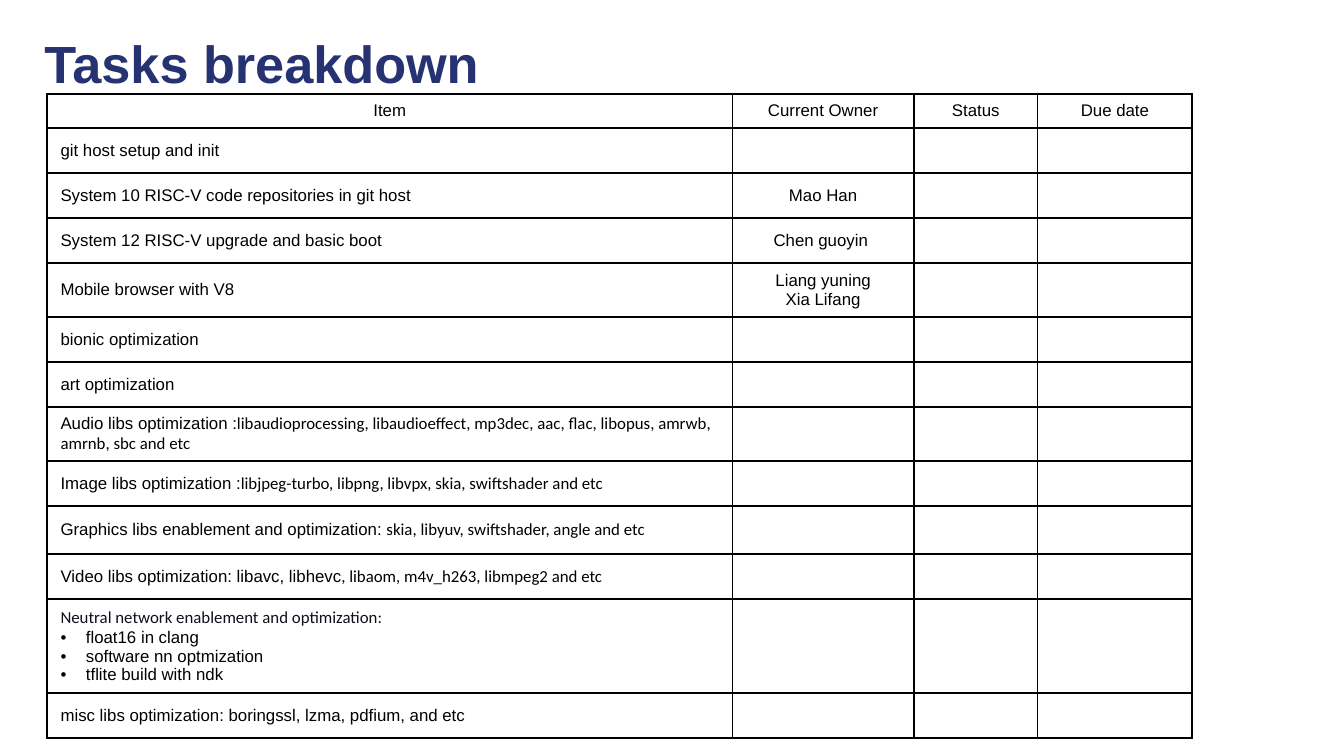
"""Build the task breakdown slide with its table of owners and dates."""
from lxml.etree import SubElement
from pptx import Presentation
from pptx.dml.color import RGBColor
from pptx.enum.text import MSO_ANCHOR as ANCHOR, PP_ALIGN as ALIGN
from pptx.oxml.ns import qn
from pptx.util import Cm, Pt


def style(r, size, color, font="Arial", bold=False):
    r.font.size, r.font.name, r.font.bold = Pt(size), font, bold
    r.font.color.rgb = RGBColor.from_string(color)


def add_borders(cell):
    tcPr = cell._tc.get_or_add_tcPr()
    for i, side in enumerate(("lnL", "lnR", "lnT", "lnB")):
        ln = tcPr.makeelement(qn(f"a:{side}"), {"w": str(Pt(1))})
        fill = SubElement(ln, qn("a:solidFill"))
        SubElement(fill, qn("a:srgbClr"), val="000000")
        tcPr.insert(i, ln)


BLACK = "000000"
HEADERS = ["Item", "Current Owner", "Status", "Due date"]
WIDTHS = [12.95, 3.43, 2.34, 2.92]
TASKS = [
    (0.85, "git host setup and init", ""),
    (0.85, "System 10 RISC-V code repositories in git host", "Mao Han"),
    (0.85, "System 12 RISC-V upgrade and basic boot", "Chen guoyin "),
    (0.96, "Mobile browser with V8", "Liang yuning\nXia Lifang"),
    (0.85, "bionic optimization", ""),
    (0.85, "art optimization", ""),
    (1.03, "Audio libs optimization :|libaudioprocessing, libaudioeffect, mp3dec, "
           "aac, flac, libopus, amrwb, amrnb, sbc and etc", ""),
    (0.85, "Image libs optimization :|libjpeg-turbo, libpng, libvpx, skia, "
           "swiftshader and etc", ""),
    (0.9, "Graphics libs enablement and optimization: |skia, libyuv, "
          "swiftshader, angle and etc", ""),
    (0.85, "Video libs optimization: libavc, libhevc|, libaom, m4v_h263, "
           "libmpeg2 and etc", ""),
    (1.78, "|Neutral network enablement and optimization:\n•float16 in clang\n"
           "•software nn optmization\n•tflite build with ndk", ""),
    (0.85, "misc libs optimization: boringssl, lzma, pdfium, and etc", ""),
]

prs = Presentation()
prs.slide_width, prs.slide_height = Cm(25.4), Cm(14.29)
s = prs.slides.add_slide(prs.slide_layouts[6])

tf = s.shapes.add_textbox(Cm(0.66), Cm(0.53), Cm(20.22), Cm(1.42)).text_frame
tf.word_wrap = True
tf.vertical_anchor = ANCHOR.MIDDLE
tf.margin_left = tf.margin_right = Cm(0.18)
tf.margin_top = tf.margin_bottom = Cm(0.1)
tf.text = "Tasks breakdown"
p = tf.paragraphs[0]
p.line_spacing = 0.95
style(p.runs[0], 28, "273272", bold=True)

rows = [(0.64, HEADERS)] + [(h, [task, owner, "", ""]) for h, task, owner in TASKS]
height = sum(h for h, _ in rows)
table = s.shapes.add_table(len(rows), len(WIDTHS), Cm(0.89), Cm(1.78),
                           Cm(sum(WIDTHS)), Cm(height)).table
table.first_row = table.horz_banding = False
for column, width in zip(table.columns, WIDTHS):
    column.width = Cm(width)

for i, (h, texts) in enumerate(rows):
    table.rows[i].height = Cm(h)
    for j, text in enumerate(texts):
        cell = table.cell(i, j)
        cell.fill.background()
        cell.vertical_anchor = ANCHOR.MIDDLE
        add_borders(cell)
        tf = cell.text_frame
        tf.text = "\n" * text.count("\n")
        for p, line in zip(tf.paragraphs, text.split("\n")):
            p.alignment = ALIGN.LEFT if i and j == 0 else ALIGN.CENTER
            if line.startswith("•"):
                pPr = p._p.get_or_add_pPr()
                pPr.set("marL", str(Cm(0.48)))
                pPr.set("indent", str(-Cm(0.48)))
                color = SubElement(SubElement(pPr, qn("a:buClr")), qn("a:srgbClr"))
                color.set("val", BLACK)
                SubElement(pPr, qn("a:buFont"), typeface="Arial")
                SubElement(pPr, qn("a:buChar"), char="•")
            for part, font in zip(line.lstrip("•").split("|"), ("Arial", "Calibri")):
                if part:
                    r = p.add_run()
                    r.text = part
                    style(r, 9, "0E101A" if line.startswith("|") else BLACK, font)
            if not line:
                SubElement(p._p, qn("a:endParaRPr"), sz="900")

prs.save("out.pptx")
